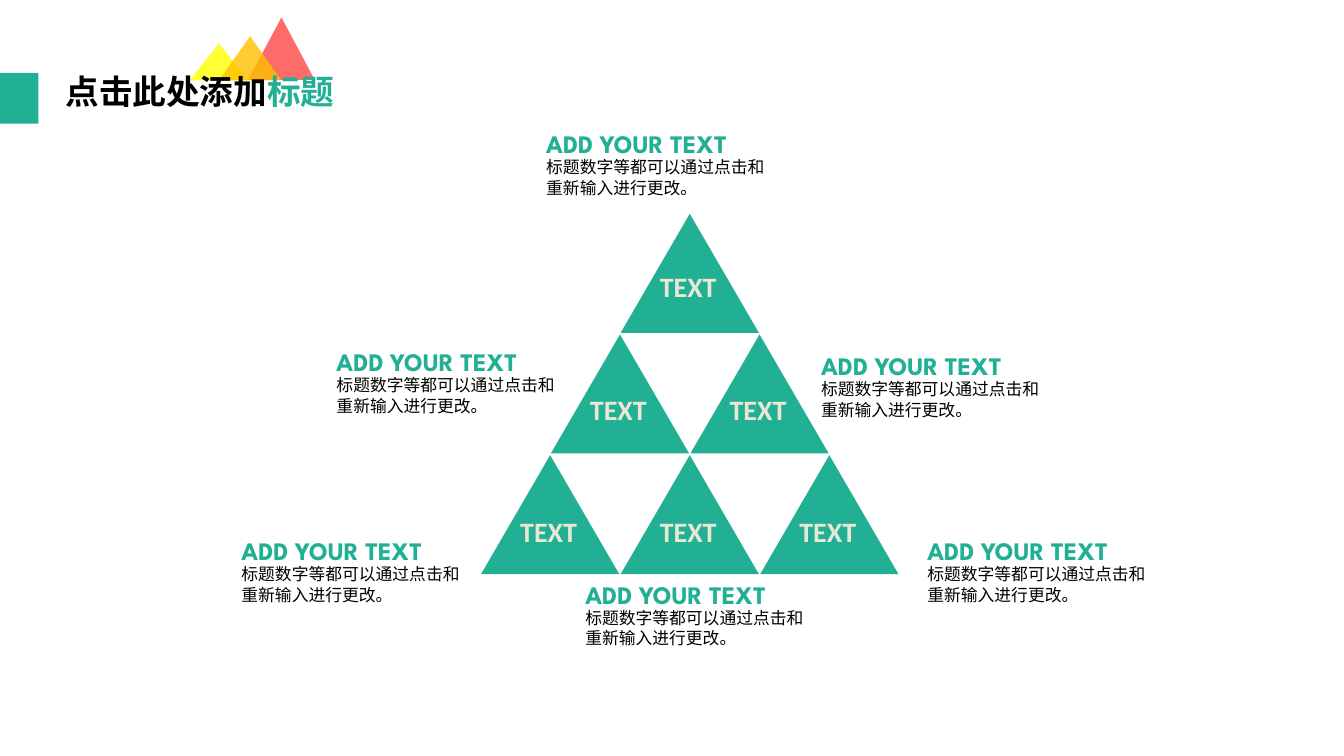
"""Build a slide with a six-piece triangle pyramid and its captions."""
from dataclasses import dataclass

import lxml.etree
import pptx
import pptx.dml.color
import pptx.enum.shapes
import pptx.enum.text
import pptx.oxml.ns
import pptx.util

Pt = pptx.util.Pt
qn = pptx.oxml.ns.qn
COLORS = {"green": "22B095", "cream": "EAE7D4", "black": "000000",
          "red": "FE4844", "yellow": "FFFF00", "amber": "FFC000"}
CJK, LATIN, HEADING = "Noto Sans CJK SC", "Calibri", "League Spartan"
APEX_X, APEX_Y = 492.7, 152.7
PIECE_W, PIECE_H = 98.8, 85
COL_PITCH, ROW_PITCH = 99.7, 86.2
LABEL_TOP, LABEL_PITCH, LABEL_INDENT = 189.2, 87.4, 28.5
ARCH = ((0.72, 0.78), (0.28, 0.78), (0, 1))


@dataclass(frozen=True)
class Decor:
    kind: pptx.enum.shapes.MSO_SHAPE
    left: float
    top: float
    width: float
    height: float
    color: str
    opacity: int = 100


@dataclass(frozen=True)
class Caption:
    left: float
    top: float


TRIANGLE = pptx.enum.shapes.MSO_SHAPE.ISOSCELES_TRIANGLE
DECORS = [
    Decor(TRIANGLE, 177.3, 12.5, 47.5, 44.5, "red", 80),
    Decor(TRIANGLE, 135.5, 31, 41.8, 26.4, "yellow", 80),
    Decor(TRIANGLE, 156.4, 25.9, 44.6, 31.5, "amber", 80),
    Decor(pptx.enum.shapes.MSO_SHAPE.RECTANGLE, 0, 52, 27.4, 36.3, "green"),
]
CAPTIONS = [
    Caption(383.1, 88.2), Caption(233.3, 243.9), Caption(165.4, 379),
    Caption(411, 410.2), Caption(655.3, 379), Caption(579.4, 246.8),
]


def rgb(name: str) -> pptx.dml.color.RGBColor:
    """Return the named colour."""
    return pptx.dml.color.RGBColor.from_string(COLORS[name])


def paint(sp, color: str, opacity: int = 100) -> None:
    """Give a shape a plain fill without line or shadow."""
    sp.shadow.inherit = False
    sp.line.fill.background()
    sp.fill.solid()
    sp.fill.fore_color.rgb = rgb(color)
    if opacity < 100:
        clr = sp.element.spPr.find(qn("a:solidFill")).find(qn("a:srgbClr"))
        lxml.etree.SubElement(clr, qn("a:alpha")).set("val", str(opacity * 1000))


def style(r, font: str, size: float, color: str, bold: bool) -> None:
    """Format a run, using a CJK font for East Asian text too."""
    r.font.name = font
    r.font.size = Pt(size)
    r.font.bold = bold
    r.font.color.rgb = rgb(color)
    if font == CJK:
        latin = r._r.find(qn("a:rPr")).find(qn("a:latin"))
        ea = lxml.etree.Element(qn("a:ea"))
        ea.set("typeface", font)
        latin.addnext(ea)


def add_text(s, text: str, left: float, top: float, width: float, height: float,
             font: str, size: float, color: str, bold: bool, wrap: bool = True):
    """Add a one-paragraph text box and return its paragraph."""
    tf = s.shapes.add_textbox(Pt(left), Pt(top), Pt(width), Pt(height)).text_frame
    tf.word_wrap = wrap
    tf.auto_size = pptx.enum.text.MSO_AUTO_SIZE.SHAPE_TO_FIT_TEXT
    tf.text = text
    p = tf.paragraphs[0]
    style(p.runs[0], font, size, color, bold)
    return p


def add_decor(s, decor: Decor) -> None:
    """Draw one header ornament."""
    sp = s.shapes.add_shape(decor.kind, Pt(decor.left), Pt(decor.top),
                            Pt(decor.width), Pt(decor.height))
    paint(sp, decor.color, decor.opacity)


def add_title(s) -> None:
    """Place the two-colour title in front of the ornaments."""
    title = s.shapes.title
    title.left, title.top, title.width, title.height = Pt(39.6), Pt(49.2), Pt(218.9), Pt(50.4)
    tf = title.text_frame
    tf.auto_size = pptx.enum.text.MSO_AUTO_SIZE.NONE
    tf.vertical_anchor = pptx.enum.text.MSO_ANCHOR.TOP
    p = tf.paragraphs[0]
    p.alignment = pptx.enum.text.PP_ALIGN.LEFT
    p.line_spacing = Pt(26.4)
    for text, color in (("点击此处添加", "black"), ("标题", "green")):
        r = p.add_run()
        r.text = text
        style(r, CJK, 24, color, True)
    title.element.getparent().append(title.element)


def add_piece(s, apex_x: float, apex_y: float) -> None:
    """Draw a triangle whose base is a cubic arch."""
    left, right = apex_x - PIECE_W / 2, apex_x + PIECE_W / 2
    bottom = apex_y + PIECE_H
    builder = s.shapes.build_freeform(Pt(left), Pt(bottom))
    builder.add_line_segments([(Pt(apex_x), Pt(apex_y)), (Pt(right), Pt(bottom))])
    sp = builder.convert_to_shape()
    outline = next(sp.element.iter(qn("a:path")))
    curve = lxml.etree.SubElement(outline, qn("a:cubicBezTo"))
    for x, y in ARCH:
        pt = lxml.etree.SubElement(curve, qn("a:pt"))
        pt.set("x", str(Pt(x * PIECE_W)))
        pt.set("y", str(Pt(y * PIECE_H)))
    lxml.etree.SubElement(outline, qn("a:close"))
    paint(sp, "green")


def add_caption(s, caption: Caption) -> None:
    """Add a heading with its explanatory text."""
    add_text(s, "ADD YOUR TEXT", caption.left, caption.top, 180, 28.8,
             HEADING, 18, "green", True)
    p = add_text(s, "标题数字等都可以通过点击和重新输入进行更改。",
                 caption.left, caption.top + 20, 177.8, 36, CJK, 12, "black", False)
    p.line_spacing = Pt(14.65)


def main() -> None:
    """Build and save the slide."""
    prs = pptx.Presentation()
    prs.slide_width, prs.slide_height = Pt(960), Pt(540)
    s = prs.slides.add_slide(prs.slide_layouts.get_by_name("Title Only"))
    for decor in DECORS:
        add_decor(s, decor)
    add_title(s)
    cells = [(row, APEX_X + (col - row / 2) * COL_PITCH)
             for row in range(3) for col in range(row + 1)]
    for row, x in cells:
        add_piece(s, x, APEX_Y + row * ROW_PITCH)
    for row, x in cells:
        add_text(s, "TEXT", x - LABEL_INDENT, LABEL_TOP + row * LABEL_PITCH,
                 55.4, 31.7, LATIN, 20, "cream", True, wrap=False)
    for caption in CAPTIONS:
        add_caption(s, caption)
    prs.save("out.pptx")


if __name__ == "__main__":
    main()
